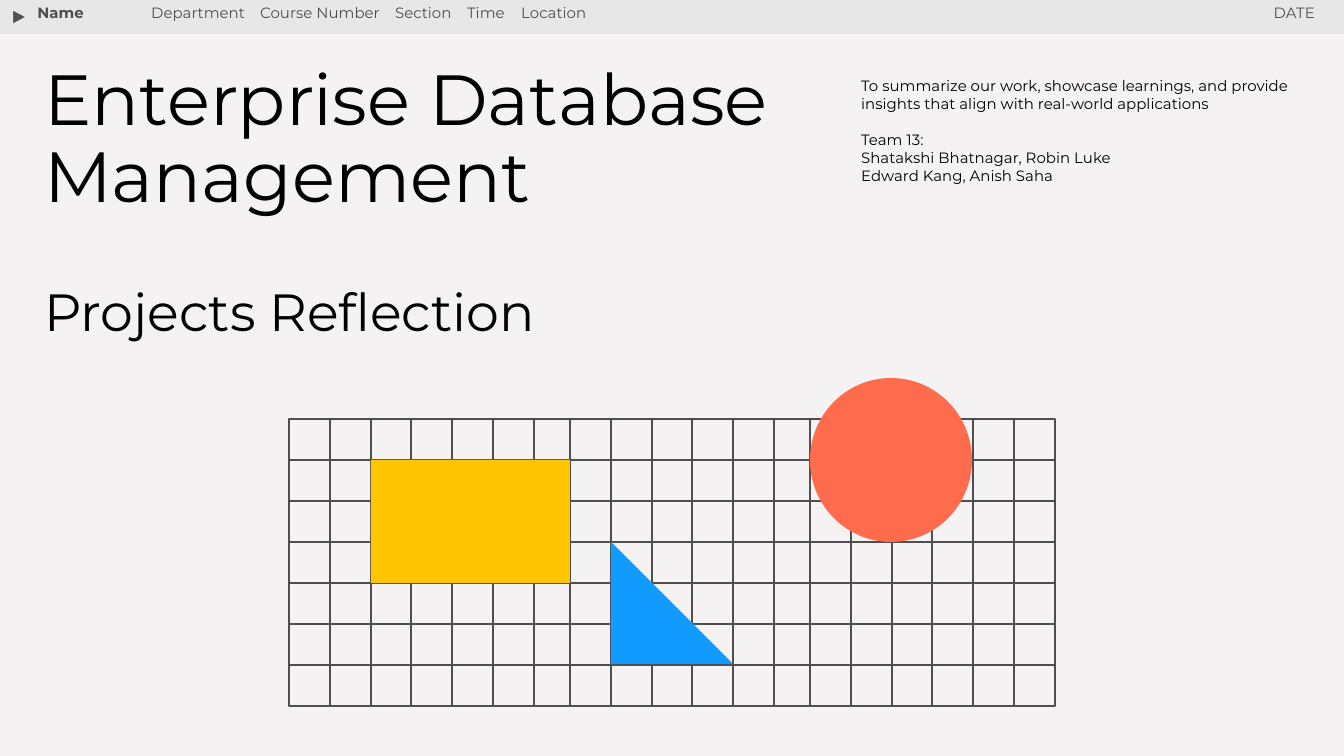
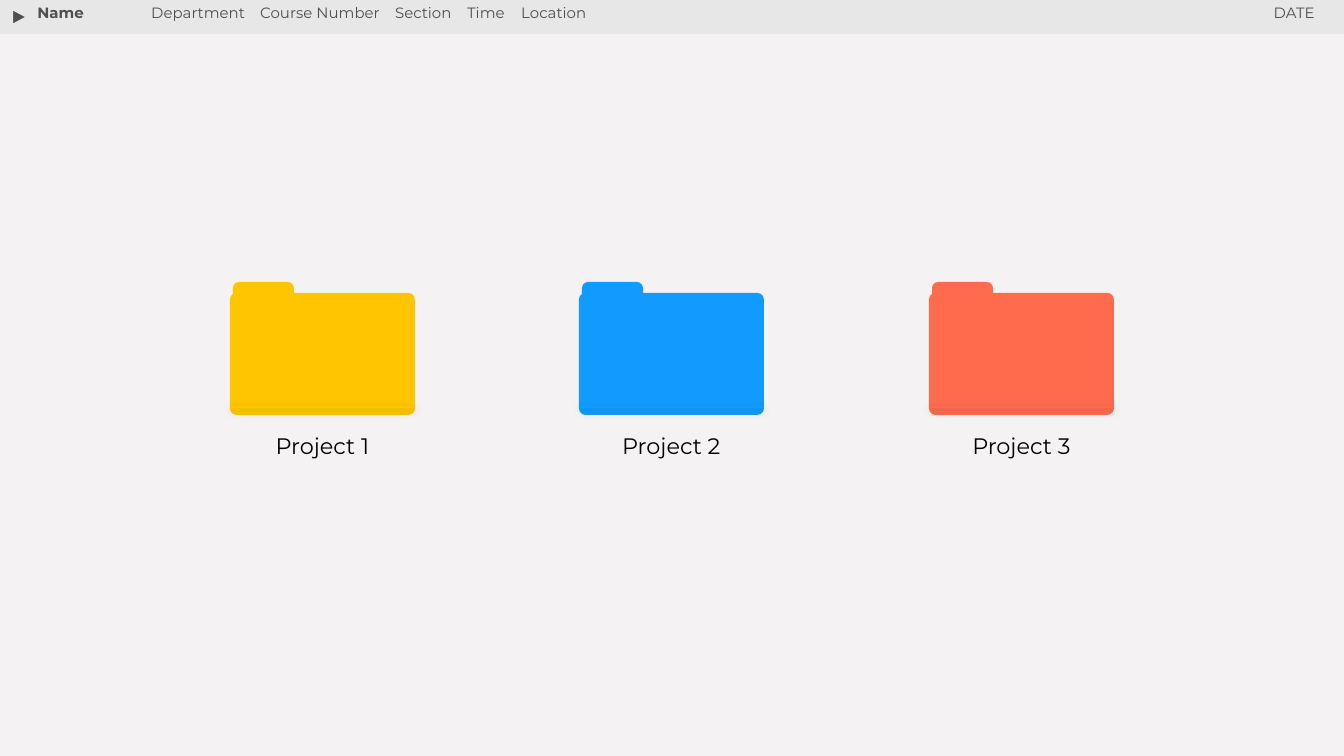
"""Build the title slide and the project folder slide of a course reflection deck."""
import dataclasses

import pptx
import pptx.dml.color
import pptx.enum.shapes
import pptx.enum.text
import pptx.oxml
import pptx.oxml.ns
import pptx.util

SCALE = 914400 / 134.4
SHAPE = pptx.enum.shapes.MSO_SHAPE
ALIGN = pptx.enum.text.PP_ALIGN
NS = pptx.oxml.ns.nsdecls("a")


@dataclasses.dataclass(frozen=True)
class Theme:
    font: str = "Montserrat"
    paper: str = "F4F2F2"
    band: str = "E7E7E7"
    gray: str = "4F4F4F"
    black: str = "000000"
    yellow: str = "FFC600"
    blue: str = "119BFE"
    red: str = "FF6B4D"
    title: int = 38
    subtitle: int = 28
    label: int = 12
    small: int = 8
    line: float = 0.75


THEME = Theme()


def px(n):
    return pptx.util.Emu(round(n * SCALE))


def rgb(color):
    return pptx.dml.color.RGBColor.from_string(color)


def add_text(s, box, lines, size, color=THEME.black, align=ALIGN.LEFT, bold=False):
    tf = s.shapes.add_textbox(*map(px, box)).text_frame
    tf.word_wrap = True
    tf.margin_left = tf.margin_right = tf.margin_top = tf.margin_bottom = pptx.util.Inches(0.1)
    tf.text = "\n".join(lines)
    for p in tf.paragraphs:
        p.alignment = align
        for r in p.runs:
            r.font.name = THEME.font
            r.font.size = pptx.util.Pt(size)
            r.font.bold = bold
            r.font.color.rgb = rgb(color)
    return tf


def add_shape(shapes, kind, box, fill=None, line=None):
    sp = shapes.add_shape(kind, *map(px, box))
    sp.shadow.inherit = False
    if fill:
        sp.fill.solid()
        sp.fill.fore_color.rgb = rgb(fill)
    else:
        sp.fill.background()
    if line:
        sp.line.color.rgb = rgb(line)
        sp.line.width = pptx.util.Pt(THEME.line)
    else:
        sp.line.fill.background()
    return sp


def add_line(shapes, x1, y1, x2, y2, color, effect=""):
    ln = shapes.add_connector(pptx.enum.shapes.MSO_CONNECTOR.STRAIGHT, *map(px, (x1, y1, x2, y2)))
    ln.line.color.rgb = rgb(color)
    ln.line.width = pptx.util.Pt(THEME.line)
    ln._element.spPr.append(pptx.oxml.parse_xml(f"<a:effectLst {NS}>{effect}</a:effectLst>"))


def add_tab_stops(p, stops):
    tabs = "".join(f'<a:tab pos="{px(x)}" algn="l"/>' for x in stops)
    p._p.get_or_add_pPr().append(pptx.oxml.parse_xml(f"<a:tabLst {NS}>{tabs}</a:tabLst>"))


def add_header(s, h, date_w):
    add_shape(s.shapes, SHAPE.RECTANGLE, (-1, 0, 1345, 34), THEME.band)
    arrow = add_shape(s.shapes, SHAPE.ISOSCELES_TRIANGLE, (12, 10, 15, 14), THEME.gray, THEME.band)
    arrow.rotation = 90
    add_text(s, (1328 - date_w, -5, date_w, h), ["DATE"], THEME.small, THEME.gray, ALIGN.RIGHT)
    add_text(s, (24, -5, 172, h), ["Name"], THEME.small, THEME.gray, bold=True)
    fields = "\t".join(["Department", "Course Number", "Section", "Time", "Location"])
    tf = add_text(s, (138, -5, 561, h), [fields], THEME.small, THEME.gray)
    add_tab_stops(tf.paragraphs[0], (109, 244, 316, 370))


def add_grid(s):
    left, top, w, h = 289, 419, 766, 287
    shapes = s.shapes.add_group_shape().shapes
    add_shape(shapes, SHAPE.RECTANGLE, (left, top, w, h), line=THEME.gray)
    columns = [start + round(40.8 * i) for start, n in ((289, 7), (570, 6), (810, 7)) for i in range(n)]
    for x in columns[1:-1]:
        add_line(shapes, x, top, x, top + h, THEME.gray)
    for y in range(top + 41, top + h, 41):
        add_line(shapes, left, y, left + w, y, THEME.gray)
    add_shape(shapes, SHAPE.RECTANGLE, (371, 460, 199, 123), THEME.yellow)
    add_shape(shapes, SHAPE.OVAL, (810, 378, 162, 164), THEME.red)
    add_shape(shapes, SHAPE.RIGHT_TRIANGLE, (611, 542, 122, 122), THEME.blue)


def add_folder(s, x, color, label):
    shadow = ('<a:outerShdw blurRad="57150" dist="19050" dir="5400000" algn="bl" rotWithShape="0">'
              f'<a:srgbClr val="{THEME.black}"><a:alpha val="30000"/></a:srgbClr></a:outerShdw>')
    add_text(s, (x, 419, 185, 54), [label], THEME.label, align=ALIGN.CENTER)
    shapes = s.shapes.add_group_shape().shapes
    tab = add_shape(shapes, SHAPE.ROUND_2_SAME_RECTANGLE, (x + 3, 282, 61, 12), color)
    tab.adjustments[0] = 0.5
    body = add_shape(shapes, SHAPE.ROUNDED_RECTANGLE, (x, 293, 185, 122), color)
    body.adjustments[0] = 0.053
    add_line(shapes, x, 407, x + 185, 407, color, shadow)


def build_title_slide(s):
    add_header(s, 46, 168)
    tf = add_text(s, (848, 63, 476, 109), [
        "To summarize our work, showcase learnings, and provide insights "
        "that align with real-world applications",
        "Team 13:", "Shatakshi Bhatnagar, Robin Luke", "Edward Kang, Anish Saha"], THEME.small)
    tf.paragraphs[1].space_before = pptx.util.Pt(9.75)
    tf = add_text(s, (31, 51, 785, 294),
                  ["Enterprise Database Management", "Projects Reflection"], THEME.title)
    for p in tf.paragraphs:
        p.line_spacing = 0.9
    p.space_before = pptx.util.Pt(37)
    p.runs[0].font.size = pptx.util.Pt(THEME.subtitle)
    add_grid(s)


def build_folder_slide(s):
    add_header(s, 63, 224)
    for i, color in enumerate((THEME.yellow, THEME.blue, THEME.red)):
        add_folder(s, 230 + 699 * i // 2, color, f"Project {i + 1}")


def main():
    prs = pptx.Presentation()
    prs.slide_width, prs.slide_height = px(1344), px(756)
    fill = prs.slide_master.background.fill
    fill.solid()
    fill.fore_color.rgb = rgb(THEME.paper)
    for build in (build_title_slide, build_folder_slide):
        build(prs.slides.add_slide(prs.slide_layouts[6]))
    prs.save("out.pptx")


if __name__ == "__main__":
    main()
